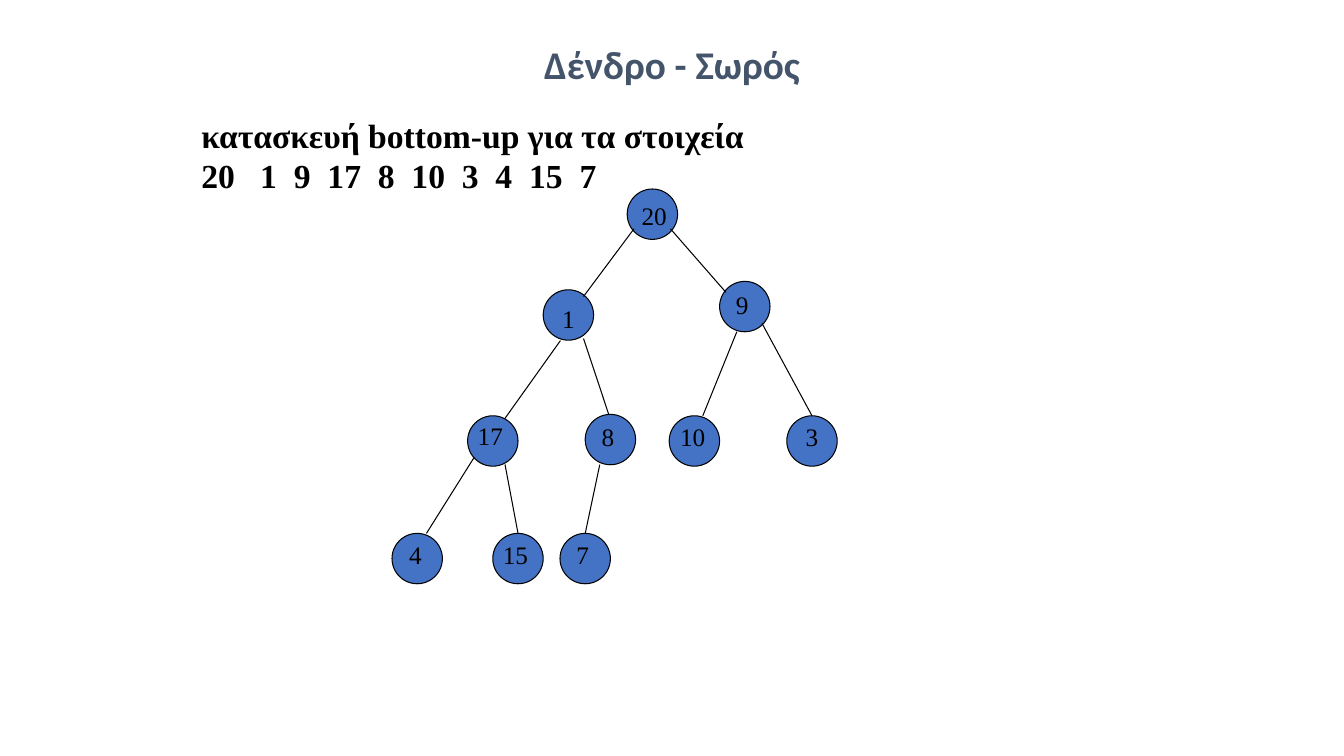
from dataclasses import dataclass

from lxml.etree import SubElement
from pptx import Presentation
from pptx.dml.color import RGBColor
from pptx.enum.shapes import MSO_CONNECTOR, MSO_SHAPE
from pptx.enum.text import MSO_ANCHOR, MSO_AUTO_SIZE, PP_ALIGN
from pptx.oxml.ns import qn
from pptx.util import Inches, Pt


@dataclass(frozen=True)
class Theme:
    ink: RGBColor = RGBColor(0x00, 0x00, 0x00)
    node: RGBColor = RGBColor(0x44, 0x72, 0xC4)
    heading: RGBColor = RGBColor(0x44, 0x54, 0x6A)
    heading_font: str = "Calibri"
    text_font: str = "Times New Roman"
    heading_size: int = 28
    text_size: int = 24
    label_size: int = 18
    line_width: float = 0.75


@dataclass(frozen=True)
class Node:
    column: float
    row: float
    label_shift: tuple


COLUMNS, ROWS = 160, 90
DIAMETER = 6
LABEL_HEIGHT = 4.8

NODES = {
    "20": Node(77.67, 25.5, (0.2, 0.15)),
    "1": Node(67.67, 37.5, (0, 0.4)),
    "17": Node(58.67, 52.5, (-0.3, -0.6)),
    "8": Node(72.67, 52.33, (-0.3, -0.35)),
    "9": Node(88.67, 36.5, (-0.3, -0.25)),
    "3": Node(96.67, 52.5, (0, -0.5)),
    "10": Node(82.67, 52.5, (-0.2, -0.5)),
    "7": Node(69.67, 66.5, (-0.3, -0.5)),
    "15": Node(61.67, 66.5, (-0.3, -0.5)),
    "4": Node(49.67, 66.5, (-0.2, -0.5)),
}

EDGES = [
    ("20", (-2.2, 1.75), "1", (1.8, -2.2)),
    ("1", (-0.95, 3.05), "17", (1.45, -2.7)),
    ("17", (-2.25, 2), "4", (1.1, -3)),
    ("17", (1.45, 2.8), "15", (0, -3)),
    ("1", (1.8, 2.8), "8", (-0.2, -3)),
    ("8", (-1.27, 3), "7", (0, -3)),
    ("20", (2.15, 1.75), "9", (-2.25, -1.7)),
    ("9", (2.05, 2), "3", (0, -3)),
    ("9", (-0.95, 3), "10", (1, -3)),
]

INTRO = "κατασκευή bottom-up για τα στοιχεία"
ELEMENTS = ["20", "1", "9", "17", "8", "10", "3", "4", "15", "7"]


class HeapSlide:
    def __init__(self, deck, theme):
        self.theme = theme
        self.column = deck.slide_width / COLUMNS
        self.row = deck.slide_height / ROWS
        self.page = deck.slides.add_slide(deck.slide_layouts[5])

    def place(self, left, top, width, height):
        return (round(left * self.column), round(top * self.row),
                round(width * self.column), round(height * self.row))

    def add_span(self, para, text, font, size, color, bold=False):
        span = para.add_run()
        span.text = text
        span.font.name = font
        span.font.size = Pt(size)
        span.font.color.rgb = color
        span.font.bold = bold

    def title(self, text, *area):
        box = self.page.shapes.title
        box.left, box.top, box.width, box.height = self.place(*area)
        frame = box.text_frame
        frame.auto_size = MSO_AUTO_SIZE.NONE
        frame.vertical_anchor = MSO_ANCHOR.MIDDLE
        para = frame.paragraphs[0]
        para.alignment = PP_ALIGN.CENTER
        self.add_span(para, text, self.theme.heading_font,
                      self.theme.heading_size, self.theme.heading, True)

    def text_box(self, *area):
        box = self.page.shapes.add_textbox(*self.place(*area))
        box.text_frame.word_wrap = False
        return box.text_frame

    def intro(self, text, values, *area):
        frame = self.text_box(*area)
        listing = frame.add_paragraph()
        self.add_tabs(listing, values)
        for para, words in zip(frame.paragraphs, (text, "\t".join(values))):
            self.add_span(para, words, self.theme.text_font,
                          self.theme.text_size, self.theme.ink, True)

    def add_tabs(self, para, values):
        digit = self.theme.text_size / 72 / 2
        stops = SubElement(para._p.get_or_add_pPr(), qn("a:tabLst"))
        position = digit / 2
        for value in values[:-1]:
            position += (len(value) + 1) * digit
            SubElement(stops, qn("a:tab"), pos=str(int(Inches(position))), algn="l")

    def circle(self, node):
        radius = DIAMETER / 2
        area = self.place(node.column - radius, node.row - radius, DIAMETER, DIAMETER)
        shape = self.page.shapes.add_shape(MSO_SHAPE.OVAL, *area)
        shape.shadow.inherit = False
        shape.fill.solid()
        shape.fill.fore_color.rgb = self.theme.node
        self.outline(shape)

    def outline(self, shape):
        shape.line.color.rgb = self.theme.ink
        shape.line.width = Pt(self.theme.line_width)

    def edge(self, parent, leave, child, arrive):
        start = self.place(parent.column + leave[0], parent.row + leave[1], 0, 0)[:2]
        end = self.place(child.column + arrive[0], child.row + arrive[1], 0, 0)[:2]
        line = self.page.shapes.add_connector(MSO_CONNECTOR.STRAIGHT, *start, *end)
        self.outline(line)
        SubElement(line._element.spPr, qn("a:effectLst"))

    def label(self, text, node):
        width = 2.5 + 1.45 * len(text)
        across, down = node.label_shift
        frame = self.text_box(node.column + across - width / 2,
                              node.row + down - LABEL_HEIGHT / 2,
                              width, LABEL_HEIGHT)
        para = frame.paragraphs[0]
        para.alignment = PP_ALIGN.CENTER
        self.add_span(para, text, self.theme.text_font,
                      self.theme.label_size, self.theme.ink)


def main():
    deck = Presentation()
    deck.slide_width, deck.slide_height = Inches(13.33), Inches(7.5)
    slide = HeapSlide(deck, Theme())
    for node in NODES.values():
        slide.circle(node)
    for parent, leave, child, arrive in EDGES:
        slide.edge(NODES[parent], leave, NODES[child], arrive)
    for text, node in NODES.items():
        slide.label(text, node)
    slide.title("Δένδρο - Σωρός", 29, 4.3, 102, 6.6)
    slide.intro(INTRO, ELEMENTS, 22.8, 13.1, 67.7, 10.9)
    deck.save("out.pptx")


if __name__ == "__main__":
    main()
